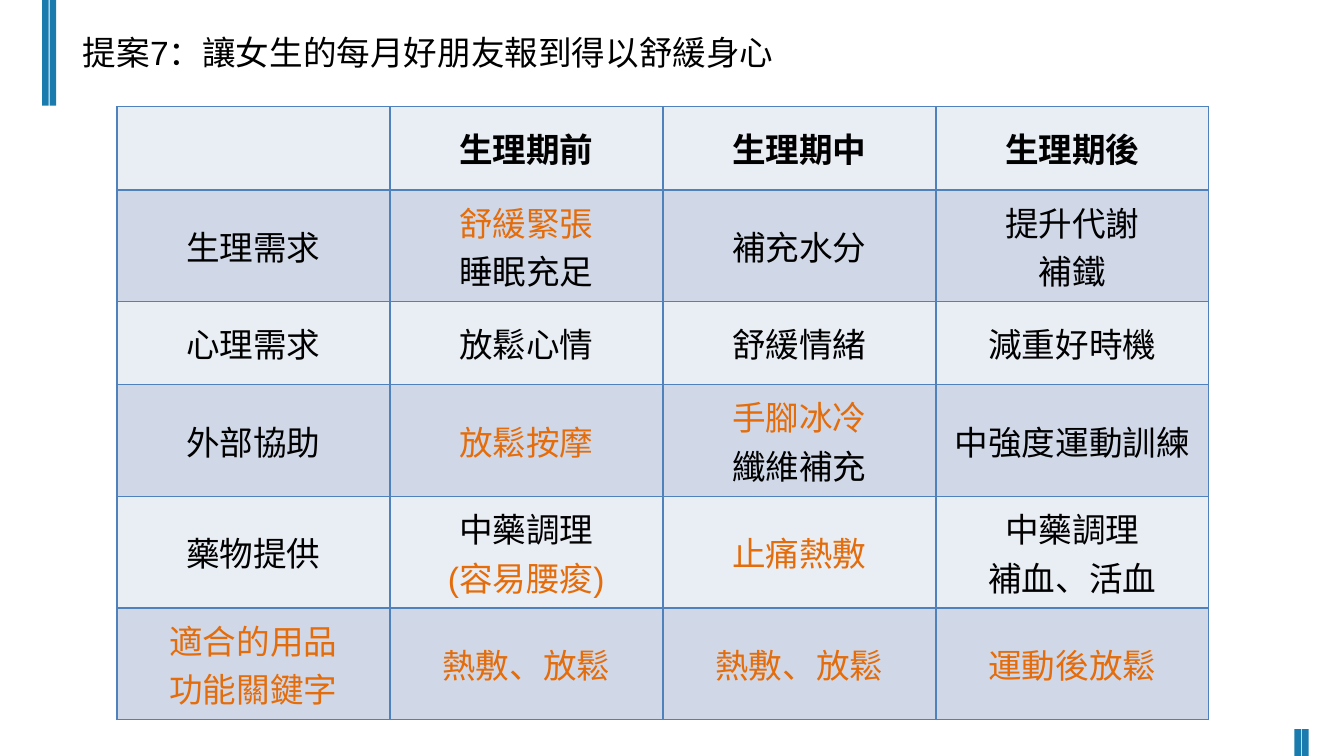
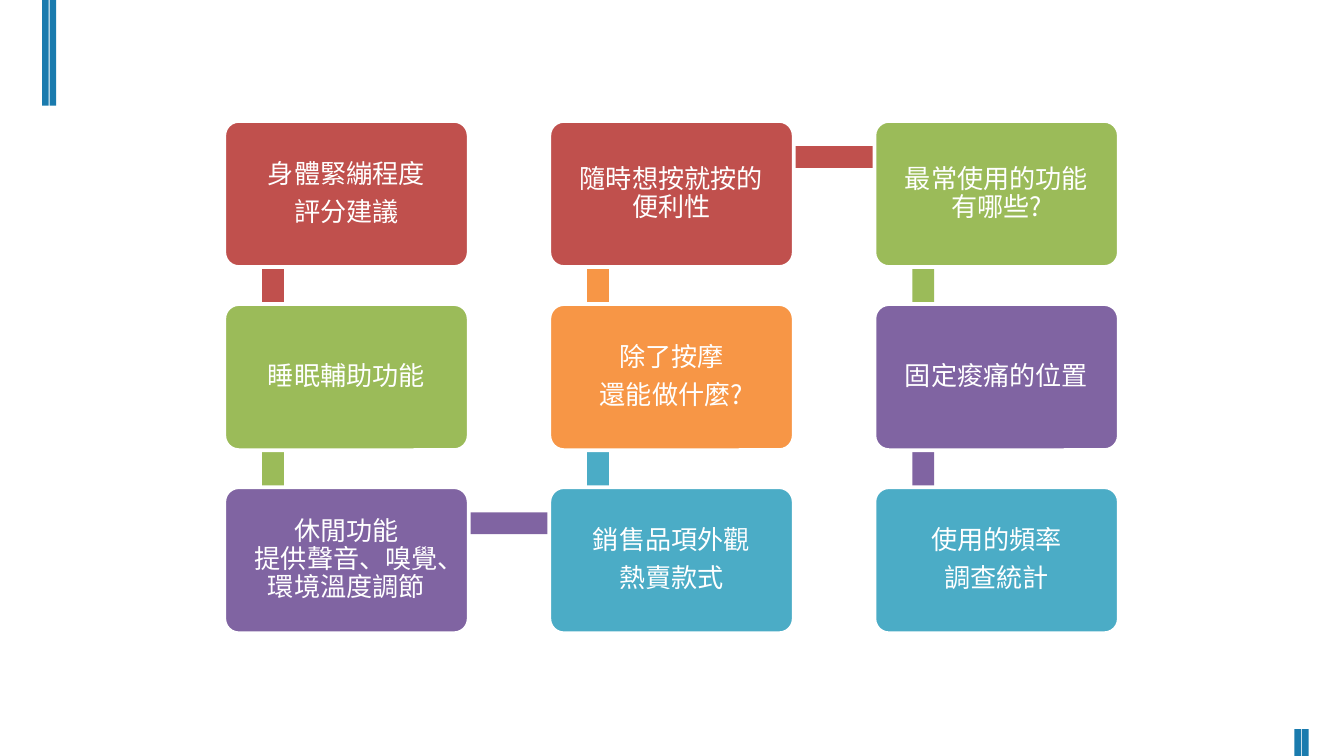
"""Builds a two-page proposal: a needs table and a snaking chain of feature cards."""
from copy import deepcopy

from lxml.etree import SubElement
from pptx import Presentation
from pptx.dml.color import RGBColor
from pptx.enum.shapes import MSO_SHAPE
from pptx.enum.text import MSO_ANCHOR, MSO_AUTO_SIZE, PP_ALIGN
from pptx.oxml import parse_xml
from pptx.oxml.ns import nsdecls, qn
from pptx.util import Emu, Pt

PX = 5715
WIDTH, HEIGHT = 1600, 900

BLACK = RGBColor(0x00, 0x00, 0x00)
WHITE = RGBColor(0xFF, 0xFF, 0xFF)
BAND = RGBColor(0x1A, 0x7B, 0xAE)
ACCENT = RGBColor(0xE4, 0x6C, 0x0A)
BORDER = RGBColor(0x4F, 0x81, 0xBD)
ROW_FILLS = [RGBColor(0xE9, 0xED, 0xF4), RGBColor(0xD0, 0xD8, 0xE8)]
RED = RGBColor(0xC0, 0x50, 0x4D)
GREEN = RGBColor(0x9B, 0xBB, 0x59)
PURPLE = RGBColor(0x80, 0x64, 0xA2)
TEAL = RGBColor(0x4B, 0xAC, 0xC6)
ORANGE = RGBColor(0xF7, 0x96, 0x46)
CARD_FILLS = [RED, GREEN, PURPLE, TEAL, ORANGE]

LATIN_FONT = "Arial"
CHINESE_FONT = "Noto Sans CJK SC"

TITLE = "提案7：讓女生的每月好朋友報到得以舒緩身心"
NEEDS = [
    ["", "生理期前", "生理期中", "生理期後"],
    ["生理需求", "舒緩緊張\n睡眠充足", "補充水分", "提升代謝\n補鐵"],
    ["心理需求", "放鬆心情", "舒緩情緒", "減重好時機"],
    ["外部協助", "放鬆按摩", "手腳冰冷\n纖維補充", "中強度運動訓練"],
    ["藥物提供", "中藥調理\n(容易腰痠)", "止痛熱敷", "中藥調理\n補血、活血"],
    ["適合的用品\n功能關鍵字", "熱敷、放鬆", "熱敷、放鬆", "運動後放鬆"],
]
ACCENTED = {
    "舒緩緊張", "放鬆按摩", "手腳冰冷", "(容易腰痠)", "止痛熱敷",
    "適合的用品", "功能關鍵字", "熱敷、放鬆", "運動後放鬆",
}
FEATURES = [
    "身體緊繃程度\n評分建議",
    "睡眠輔助功能",
    "休閒功能\v提供聲音、嗅覺、環境溫度調節",
    "銷售品項外觀\n熱賣款式",
    "除了按摩\n還能做什麼?",
    "隨時想按就按的便利性",
    "最常使用的功能有哪些?",
    "固定痠痛的位置",
    "使用的頻率\n調查統計",
]


def px(length):
    """Turn px into EMU."""
    return Emu(length * PX)


def write(frame, text, size=18, font=LATIN_FONT, color=BLACK, bold=False,
          align=None, line_spacing=None, space_after=None, accented=()):
    """Fill a text frame, one paragraph a line, in one format."""
    for index, line in enumerate(text.split("\n")):
        para = frame.add_paragraph() if index else frame.paragraphs[0]
        para.text = line
        para.alignment = align
        para.line_spacing = line_spacing
        para.space_after = space_after
        for span in para.runs:
            span.font.size = Pt(size)
            span.font.bold = bold
            span.font.color.rgb = ACCENT if line in accented else color
            span.font.name = font
            props = span.font._element
            SubElement(props, qn("a:ea"), typeface=CHINESE_FONT)
            for line_break in para._p.findall(qn("a:br")):
                if len(line_break) == 0:
                    line_break.append(deepcopy(props))


class Deck:
    """Holds the presentation, its style and the current page."""

    def __init__(self):
        """Start an empty widescreen deck."""
        self.deck = Presentation()
        self.deck.slide_width, self.deck.slide_height = px(WIDTH), px(HEIGHT)
        self.page = None

    def add_page(self):
        """Add a blank page with the twin bands in two corners."""
        self.page = self.deck.slides.add_slide(self.deck.slide_layouts[6])
        for left, top, height in [(50, 0, 126), (59, 0, 126),
                                  (1541, 868, 32), (1550, 868, 32)]:
            self.shape(left, top, 8, height, BAND)

    def shape(self, left, top, width, height, fill, kind=MSO_SHAPE.RECTANGLE):
        """Add a flat shape without outline."""
        box = self.page.shapes.add_shape(
            kind, px(left), px(top), px(width), px(height))
        box.shadow.inherit = False
        box.fill.solid()
        box.fill.fore_color.rgb = fill
        box.line.fill.background()
        return box

    def title(self, text):
        """Add the page title."""
        box = self.page.shapes.add_textbox(px(83), px(30), px(877), px(64))
        box.text_frame.word_wrap = False
        box.text_frame.auto_size = MSO_AUTO_SIZE.SHAPE_TO_FIT_TEXT
        write(box.text_frame, text)

    def card(self, left, top, width, height, text, fill):
        """Add a rounded card with centred white text."""
        box = self.shape(left, top, width, height, fill,
                         MSO_SHAPE.ROUNDED_RECTANGLE)
        box.adjustments[0] = 0.1
        box.line.color.rgb = WHITE
        box.line.width = Pt(2)
        frame = box.text_frame
        frame.word_wrap = True
        frame.vertical_anchor = MSO_ANCHOR.MIDDLE
        frame.margin_left = frame.margin_right = px(27)
        frame.margin_top = frame.margin_bottom = px(27)
        write(frame, text, size=14, font=CHINESE_FONT, color=WHITE,
              align=PP_ALIGN.CENTER, line_spacing=0.9, space_after=Pt(5))

    def table(self, left, top, column_width, row_heights, rows):
        """Add a bordered table with alternating row fills."""
        columns = len(rows[0])
        grid = self.page.shapes.add_table(
            len(rows), columns, px(left), px(top),
            px(column_width * columns), px(sum(row_heights))).table
        grid.first_row = grid.horz_banding = False
        for column in grid.columns:
            column.width = px(column_width)
        for index, (texts, height) in enumerate(zip(rows, row_heights)):
            grid.rows[index].height = px(height)
            for cell, text in zip(grid.rows[index].cells, texts):
                cell.fill.solid()
                cell.fill.fore_color.rgb = ROW_FILLS[index % 2]
                cell.vertical_anchor = MSO_ANCHOR.MIDDLE
                self.borders(cell)
                write(cell.text_frame, text, bold=index == 0,
                      align=PP_ALIGN.CENTER, accented=ACCENTED)

    def borders(self, cell):
        """Draw the four edges of a table cell."""
        props = cell._tc.get_or_add_tcPr()
        for place, side in enumerate("LRTB"):
            props.insert(place, parse_xml(
                f'<a:ln{side} {nsdecls("a")} w="{Pt(1)}"><a:solidFill>'
                f'<a:srgbClr val="{BORDER}"/></a:solidFill></a:ln{side}>'))

    def chain(self, left, top, texts, rows=3):
        """Lay cards in columns that run down and up in turn, joined by bars."""
        column_pitch, row_pitch = 387, 218
        for index, text in enumerate(texts):
            column, step = divmod(index, rows)
            upward = column % 2 == 1
            row = rows - 1 - step if upward else step
            x, y = left + column * column_pitch, top + row * row_pitch
            fill = CARD_FILLS[index % len(CARD_FILLS)]
            if step < rows - 1:
                upper = y - row_pitch if upward else y
                bar = self.shape(x - 50, upper + 139, 216, 26, fill)
                bar.rotation = 270 if upward else 90
            elif index < len(texts) - 1:
                self.shape(x + 59, y + 30, 386, 26, fill)
            self.card(x, y, 291, 174, text, fill)


def main():
    """Build both pages and save the deck."""
    deck = Deck()
    deck.add_page()
    deck.title(TITLE)
    deck.table(139, 127, 325, [99, 133, 99, 133, 133, 133], NEEDS)
    deck.add_page()
    deck.chain(267, 144, FEATURES)
    deck.deck.save("out.pptx")


if __name__ == "__main__":
    main()
